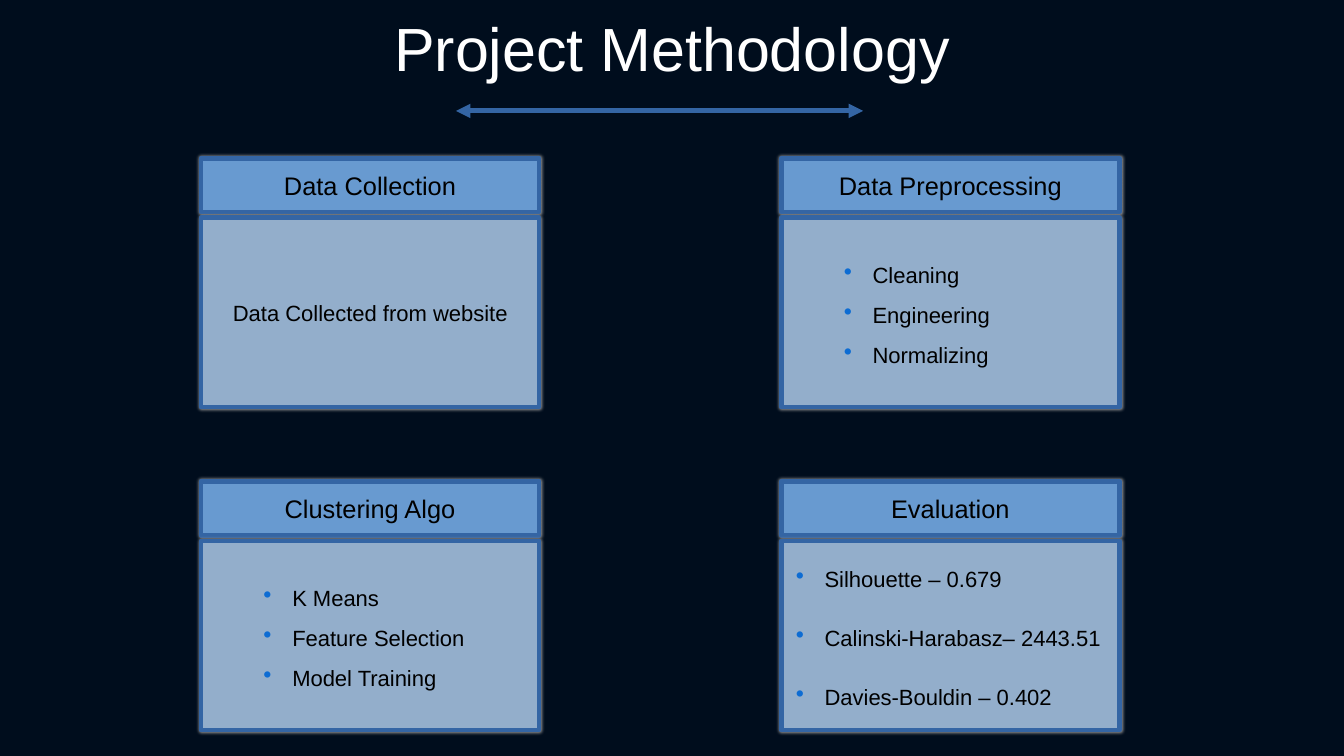
from dataclasses import dataclass

from lxml import etree
from pptx import Presentation
from pptx.dml.color import RGBColor
from pptx.enum.shapes import MSO_CONNECTOR, MSO_SHAPE
from pptx.enum.text import MSO_ANCHOR, PP_ALIGN
from pptx.oxml.ns import qn
from pptx.util import Cm, Pt

RECT = MSO_SHAPE.RECTANGLE
STRAIGHT = MSO_CONNECTOR.STRAIGHT
MIDDLE = MSO_ANCHOR.MIDDLE
CENTER, JUSTIFY = PP_ALIGN.CENTER, PP_ALIGN.JUSTIFY


@dataclass(frozen=True)
class Theme:
    font: str = "Arial"
    background: str = "000D1D"
    title: str = "FFFFFF"
    text: str = "000000"
    header: str = "689AD0"
    body: str = "93AECB"
    line: str = "3465A4"
    bullet: str = "0D6CD3"
    halo: str = "999999"
    title_size: float = 36
    header_size: float = 15
    body_size: float = 13
    line_width: float = 2.83


THEME = Theme()
SLIDE_W, SLIDE_H = 28, 15.75

# Card grid, in cm
CARD_W, HEADER_H, BODY_H, BODY_OFFSET = 7.04, 1.12, 3.94, 1.24
GRID_LEFT, GRID_TOP, COL_STEP, ROW_STEP = 4.19, 3.3, 12.09, 6.73

# Heading, lines, left margin of a list (0 for plain text), paragraph spacing
CARDS = [
    ("Data Collection", ["Data Collected from website"], 0, 0),
    ("Data Preprocessing", ["Cleaning", "Engineering", "Normalizing"], 1.6, 2.8),
    ("Clustering Algo", ["K Means", "Feature Selection", "Model Training"], 1.6, 2.8),
    ("Evaluation", ["Silhouette – 0.679", "Calinski-Harabasz– 2443.51",
                    "Davies-Bouldin – 0.402"], 0.6, 8.5),
]


def rgb(value):
    return RGBColor.from_string(value)


def add_xml(parent, tag, **attrs):
    return etree.SubElement(parent, qn(tag), attrs)


def style_text(p, size, color, align):
    p.alignment = align
    p.font.name = THEME.font
    p.font.size = Pt(size)
    p.font.color.rgb = rgb(color)


def style_line(line):
    line.color.rgb = rgb(THEME.line)
    line.width = Pt(THEME.line_width)


def add_bullet(p, margin, spacing):
    p.line_spacing = 1.15
    p.space_before = p.space_after = Pt(spacing)
    pPr = p._p.get_or_add_pPr()
    pPr.set("marL", str(Cm(margin)))
    pPr.set("indent", str(-Cm(0.6)))
    color = etree.Element(qn("a:buClr"))
    add_xml(color, "a:srgbClr", val=THEME.bullet)
    size = etree.Element(qn("a:buSzPct"), val="110000")
    char = etree.Element(qn("a:buChar"), char="•")
    # Bullet marks come before the default run properties
    font = pPr.find(qn("a:defRPr"))
    for mark in (color, size, char):
        font.addprevious(mark)


def add_halo(sp):
    sp.shadow.inherit = False
    effects = sp._element.spPr.find(qn("a:effectLst"))
    shadow = add_xml(effects, "a:outerShdw", blurRad=str(Cm(0.07)), dist="0",
                     algn="ctr", rotWithShape="0")
    add_xml(shadow, "a:srgbClr", val=THEME.halo)


def add_panel(slide, left, top, height, fill):
    sp = slide.shapes.add_shape(RECT, Cm(left), Cm(top), Cm(CARD_W), Cm(height))
    sp.fill.solid()
    sp.fill.fore_color.rgb = rgb(fill)
    style_line(sp.line)
    add_halo(sp)
    tf = sp.text_frame
    tf.word_wrap = True
    tf.vertical_anchor = MIDDLE
    tf.margin_left = tf.margin_right = Cm(0.3)
    tf.margin_top = tf.margin_bottom = Cm(0.18)
    return tf


def add_card(slide, left, top, heading, lines, margin, spacing):
    # Heading panel
    tf = add_panel(slide, left, top, HEADER_H, THEME.header)
    tf.text = heading
    style_text(tf.paragraphs[0], THEME.header_size, THEME.text, CENTER)

    # Body panel
    tf = add_panel(slide, left, top + BODY_OFFSET, BODY_H, THEME.body)
    tf.text = "\n".join(lines)
    for p in tf.paragraphs:
        style_text(p, THEME.body_size, THEME.text, JUSTIFY if margin else CENTER)
        if margin:
            add_bullet(p, margin, spacing)


def add_title(slide, left, top, width, height):
    # Title text
    sp = slide.shapes.title
    sp.left, sp.top, sp.width, sp.height = Cm(left), Cm(top), Cm(width), Cm(height)
    tf = sp.text_frame
    tf.text = "Project Methodology"
    tf.vertical_anchor = MIDDLE
    tf.margin_left = tf.margin_right = tf.margin_top = tf.margin_bottom = 0
    style_text(tf.paragraphs[0], THEME.title_size, THEME.title, CENTER)

    # Double arrow under the title
    y = Cm(top + height + 0.33)
    arrow = slide.shapes.add_connector(STRAIGHT, Cm(left + 9.5), y, Cm(left + 17.98), y)
    style_line(arrow.line)
    ln = arrow.line._get_or_add_ln()
    for end in ("a:headEnd", "a:tailEnd"):
        add_xml(ln, end, type="triangle")
    add_xml(arrow._element.spPr, "a:effectLst")


def add_cards(slide, left, top):
    for i, card in enumerate(CARDS):
        row, col = divmod(i, 2)
        add_card(slide, left + col * COL_STEP, top + row * ROW_STEP, *card)


def main():
    prs = Presentation()
    prs.slide_width, prs.slide_height = Cm(SLIDE_W), Cm(SLIDE_H)
    slide = prs.slides.add_slide(prs.slide_layouts[5])
    slide.background.fill.solid()
    slide.background.fill.fore_color.rgb = rgb(THEME.background)
    add_title(slide, 0, 0, SLIDE_W, 1.98)
    add_cards(slide, GRID_LEFT, GRID_TOP)
    prs.save("out.pptx")


if __name__ == "__main__":
    main()
